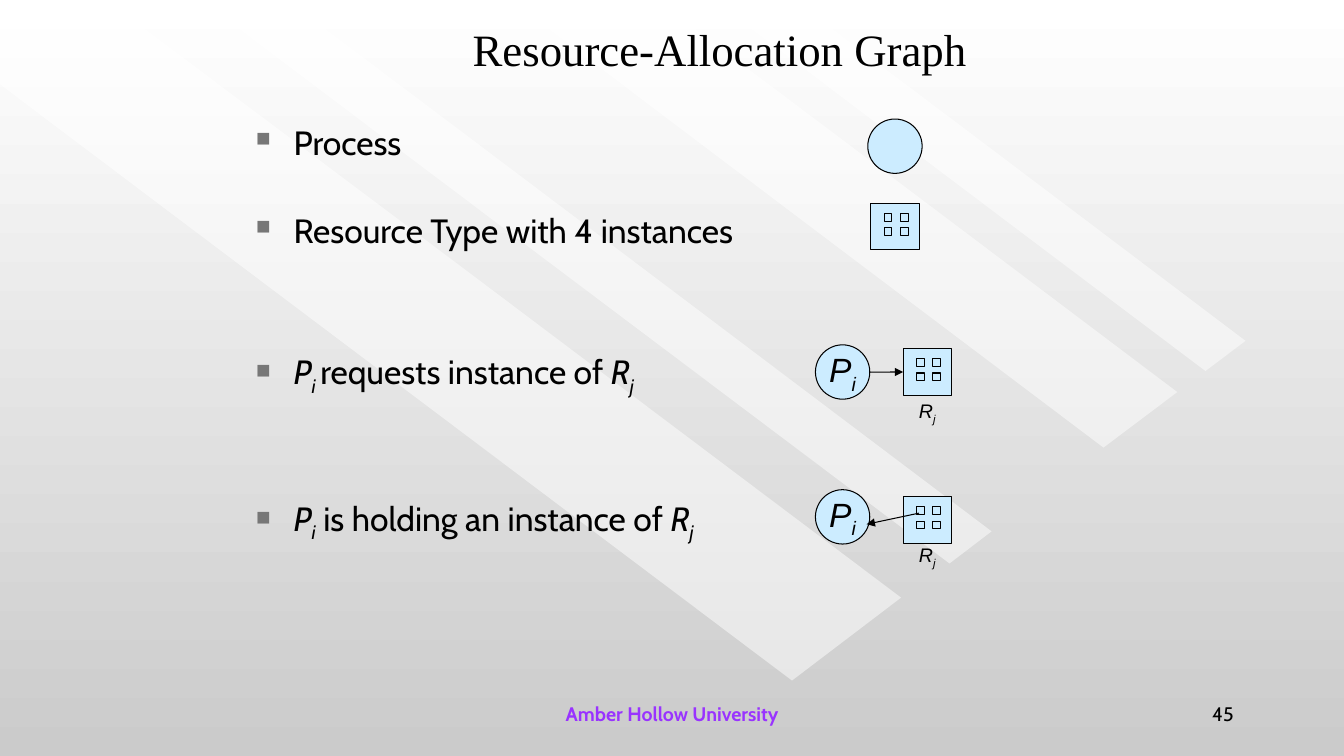
import pptx
import pptx.util
import pptx.dml.color
import pptx.enum.shapes
import pptx.enum.text
import pptx.oxml.ns
import lxml.etree

Cm, Pt = pptx.util.Cm, pptx.util.Pt
SHAPE = pptx.enum.shapes.MSO_SHAPE
ALIGN = pptx.enum.text.PP_ALIGN
ANCHOR = pptx.enum.text.MSO_ANCHOR

PALE_BLUE, BLACK, WHITE = "CCECFF", "000000", "FFFFFF"
PROCESS_SIZE = 1.37
RESOURCE_WIDTH, RESOURCE_HEIGHT = 1.22, 1.17

# Runs are (text, style); style is "", "i" (italic) or "sub" (italic subscript)
P_I = [("P", "i"), ("i", "sub")]
R_J = [("R", "i"), ("j", "sub")]

BEAMS = [
    [(0, 0), (2.69, 0), (22.71, 15.06), (19.96, 17.15), (0, 2.13)],
    [(5.05, 0), (7.24, 0), (24.99, 13.39), (23.93, 14.2)],
    [(12.85, 0), (16.56, 0), (29.67, 9.88), (27.81, 11.28)],
    [(17.96, 0), (20.02, 0), (31.39, 8.59), (30.38, 9.35)],
]

# (runs, space before in points)
STATEMENTS = [
    ([("Process", "")], 0),
    ([("Resource Type with 4 instances", "")], 34),
    ([("P", "i"), ("i ", "sub"), ("requests instance of ", "")] + R_J, 72),
    (P_I + [(" is holding an instance of ", "")] + R_J, 72),
]


def rgb(value):
    return pptx.dml.color.RGBColor.from_string(value)


def add_xml(parent, tag, **attributes):
    return lxml.etree.SubElement(parent, pptx.oxml.ns.qn(tag), attributes)


def write(paragraph, runs, font="Cabin", size=24, color=BLACK, bold=False,
          align=ALIGN.LEFT, before=0):
    paragraph.alignment = align
    paragraph.space_before = Pt(before)
    for text, style in runs:
        run = paragraph.add_run()
        run.text = text
        run.font.name, run.font.size = font, Pt(size)
        run.font.color.rgb = rgb(color)
        run.font.bold, run.font.italic = bold, style != ""
        if style == "sub":
            run.font._element.set("baseline", "-25000")


def text_box(slide, left, top, width, height, runs, **style):
    frame = slide.shapes.add_textbox(
        Cm(left), Cm(top), Cm(width), Cm(height)).text_frame
    frame.word_wrap = True
    frame.vertical_anchor = ANCHOR.MIDDLE
    write(frame.paragraphs[0], runs, **style)


def node(slide, kind, left, top, width, height):
    shape = slide.shapes.add_shape(kind, Cm(left), Cm(top), Cm(width), Cm(height))
    shape.shadow.inherit = False
    shape.fill.solid()
    shape.fill.fore_color.rgb = rgb(PALE_BLUE)
    shape.line.color.rgb = rgb(BLACK)
    shape.line.width = Pt(0.75)
    return shape


def arrow(slide, x1, y1, x2, y2):
    connector = slide.shapes.add_connector(
        pptx.enum.shapes.MSO_CONNECTOR.STRAIGHT, Cm(x1), Cm(y1), Cm(x2), Cm(y2))
    connector.line.color.rgb = rgb(BLACK)
    connector.line.width = Pt(0.75)
    add_xml(connector.line._get_or_add_ln(), "a:tailEnd", type="triangle")
    add_xml(connector._element.spPr, "a:effectLst")
    return connector


def background(slide):
    fill = slide.background.fill
    fill.gradient()
    fill.gradient_angle = 270
    for stop, color in zip(fill.gradient_stops, (WHITE, "CBCBCB")):
        stop.color.rgb = rgb(color)
    # Translucent diagonal beams
    for corners in BEAMS:
        points = [(Cm(x), Cm(y)) for x, y in corners]
        builder = slide.shapes.build_freeform(*points[0])
        builder.add_line_segments(points[1:], close=True)
        beam = builder.convert_to_shape()
        beam.shadow.inherit = False
        beam.fill.solid()
        beam.fill.fore_color.rgb = rgb(WHITE)
        beam.line.fill.background()
        tint = beam._element.spPr.find(".//" + pptx.oxml.ns.qn("a:srgbClr"))
        add_xml(tint, "a:alpha", val="50000")


def heading(slide, left, top, width, height):
    title = slide.shapes.title
    title.left, title.top = Cm(left), Cm(top)
    title.width, title.height = Cm(width), Cm(height)
    title.text_frame.vertical_anchor = ANCHOR.MIDDLE
    write(title.text_frame.paragraphs[0], [("Resource-Allocation Graph", "")],
          font="Times New Roman", size=32, align=ALIGN.CENTER)
    # Keep the title in front of the beams
    slide.shapes._spTree.append(title._element)


def statement_list(slide, left, top, width, height):
    frame = slide.shapes.add_textbox(
        Cm(left), Cm(top), Cm(width), Cm(height)).text_frame
    frame.word_wrap = True
    for index, (runs, before) in enumerate(STATEMENTS):
        statement = frame.add_paragraph() if index else frame.paragraphs[0]
        write(statement, runs, before=before)
        properties = statement._p.get_or_add_pPr()
        properties.set("marL", str(Cm(0.95)))
        properties.set("indent", str(-Cm(0.95)))
        add_xml(add_xml(properties, "a:buClr"), "a:srgbClr", val="777777")
        add_xml(properties, "a:buSzPct", val="60000")
        add_xml(properties, "a:buChar", char="■")


def process(slide, left, top, runs=()):
    circle = node(slide, SHAPE.OVAL, left, top, PROCESS_SIZE, PROCESS_SIZE)
    circle.text_frame.word_wrap = False
    circle.text_frame.vertical_anchor = ANCHOR.MIDDLE
    write(circle.text_frame.paragraphs[0], runs, font="Arial", align=ALIGN.CENTER)


def resource(slide, left, top):
    box = node(slide, SHAPE.RECTANGLE, left, top, RESOURCE_WIDTH, RESOURCE_HEIGHT)
    # Four instances
    for row in range(2):
        for column in range(2):
            node(slide, SHAPE.RECTANGLE, left + 0.33 + 0.41 * column,
                 top + 0.25 + 0.36 * row, 0.2, 0.2)
    return box


def resource_label(slide, left, top):
    text_box(slide, left - 0.2, top, RESOURCE_WIDTH + 0.4, 0.86, R_J,
             font="Arial", size=14, align=ALIGN.CENTER)


def request_diagram(slide, left, top):
    process(slide, left, top, P_I)
    box_left, box_top = left + 2.21, top + 0.1
    box = resource(slide, box_left, box_top)
    middle = top + PROCESS_SIZE / 2
    request = arrow(slide, left + PROCESS_SIZE, middle, box_left, middle)
    request.end_connect(box, 1)
    resource_label(slide, box_left, box_top + RESOURCE_HEIGHT)


def holding_diagram(slide, left, top):
    process(slide, left, top, P_I)
    box_left, box_top = left + 2.21, top + 0.18
    resource(slide, box_left, box_top)
    arrow(slide, box_left + 0.4, box_top + 0.41, left + 1.29, top + 0.87)
    resource_label(slide, box_left, box_top + RESOURCE_HEIGHT - 0.1)


def footer(slide, top, height):
    text_box(slide, 11.58, top, 10.72, height, [("Amber Hollow University", "")],
             size=14, color="9933FF", bold=True, align=ALIGN.CENTER)
    text_box(slide, 24.28, top, 7.06, height, [("45", "")],
             size=14, align=ALIGN.RIGHT)


def main():
    deck = pptx.Presentation()
    deck.slide_width, deck.slide_height = Cm(33.87), Cm(19.05)
    slide = deck.slides.add_slide(deck.slide_layouts.get_by_name("Title Only"))
    background(slide)
    heading(slide, 7.32, 0.15, 21.64, 2.13)
    statement_list(slide, 6.2, 2.95, 20.4, 10.59)
    process(slide, 21.87, 3)
    resource(slide, 21.95, 5.13)
    request_diagram(slide, 20.55, 8.69)
    holding_diagram(slide, 20.55, 12.34)
    footer(slide, 17.35, 1.27)
    deck.save("out.pptx")


if __name__ == "__main__":
    main()
